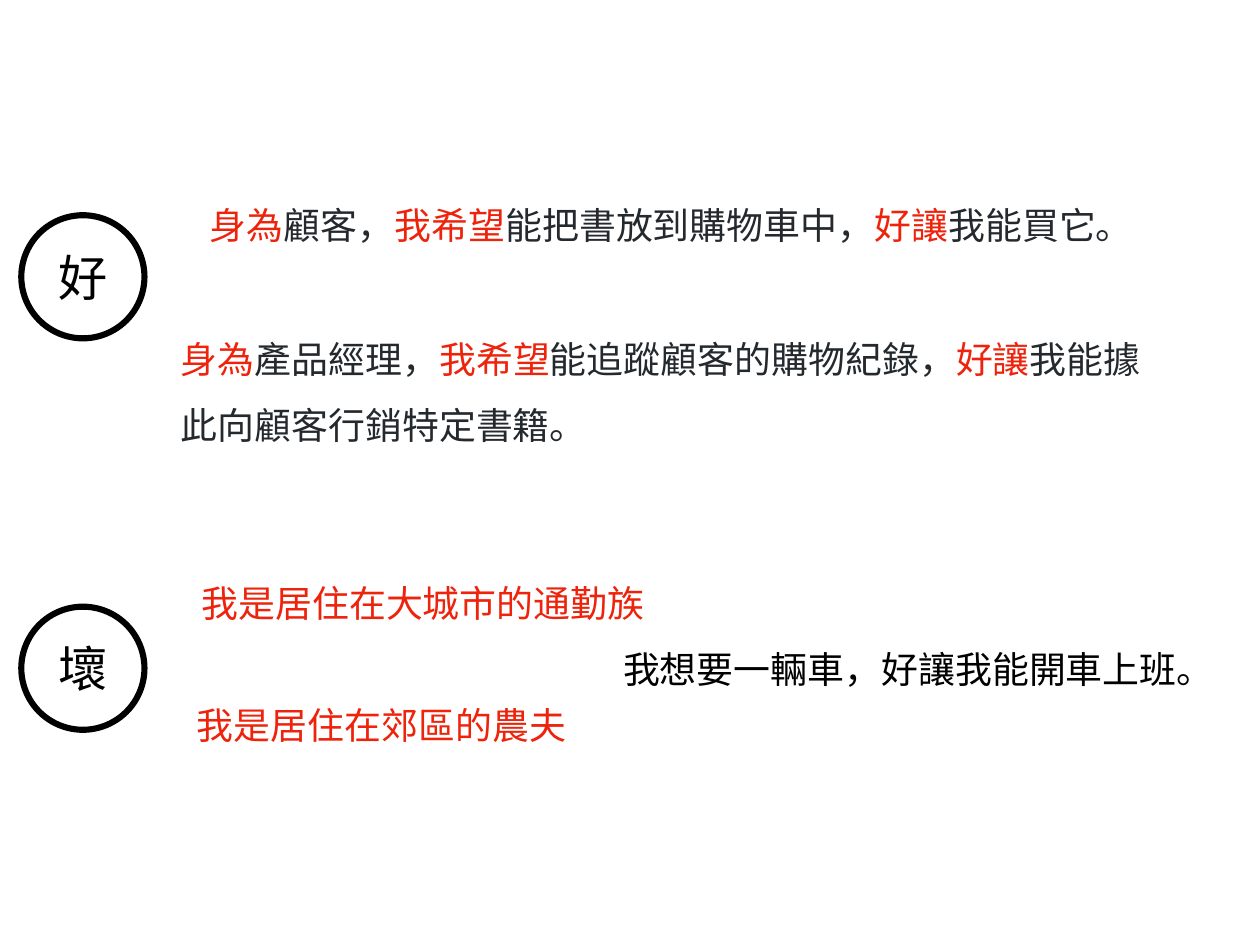
import pptx
import pptx.dml.color
import pptx.enum.shapes
import pptx.enum.text
import pptx.util
from dataclasses import dataclass
from itertools import cycle

Inches = pptx.util.Inches
Pt = pptx.util.Pt
Align = pptx.enum.text.PP_ALIGN


@dataclass(frozen=True)
class Theme:
    font: str = "Arial"
    black: str = "000000"
    white: str = "FFFFFF"
    red: str = "EE230C"
    slate: str = "24292E"
    verdict_size: int = 40
    story_size: int = 30
    story_leading: int = 54
    ring_width: int = 5
    inset: float = 0.06


class StorySlide:
    def __init__(self, deck, theme):
        self.theme = theme
        self.slide = deck.slides.add_slide(deck.slide_layouts[6])

    def apply(self, target, values):
        for name, value in values.items():
            setattr(target, name, value)

    def fill_text(self, holder, pieces, size, align, leading=None, **frame_format):
        frame = holder.text_frame
        sides = ("left", "top", "right", "bottom")
        self.apply(frame, {f"margin_{side}": Inches(self.theme.inset) for side in sides})
        self.apply(frame, {"vertical_anchor": pptx.enum.text.MSO_ANCHOR.MIDDLE, **frame_format})
        paragraph = frame.paragraphs[0]
        self.apply(paragraph, {"alignment": align, "line_spacing": leading})
        for words, color in pieces:
            run = paragraph.add_run()
            run.text = words
            self.apply(run.font, {"name": self.theme.font, "size": Pt(size)})
            run.font.color.rgb = pptx.dml.color.RGBColor.from_string(color)

    def verdict(self, word, left, top, diameter):
        theme = self.theme
        ring = self.slide.shapes.add_shape(
            pptx.enum.shapes.MSO_SHAPE.OVAL,
            *map(Inches, (left, top, diameter, diameter)))
        ring.shadow.inherit = False
        ring.fill.solid()
        ring.fill.fore_color.rgb = pptx.dml.color.RGBColor.from_string(theme.white)
        ring.line.color.rgb = pptx.dml.color.RGBColor.from_string(theme.black)
        ring.line.width = Pt(theme.ring_width)
        self.fill_text(ring, [(word, theme.black)], theme.verdict_size, Align.CENTER)

    def text(self, pieces, box, align=Align.CENTER, wrap=False, leading=None):
        holder = self.slide.shapes.add_textbox(*map(Inches, box))
        self.fill_text(holder, pieces, self.theme.story_size, align, leading,
                       word_wrap=wrap,
                       auto_size=pptx.enum.text.MSO_AUTO_SIZE.SHAPE_TO_FIT_TEXT)

    def user_story(self, phrases, box, wrap=False):
        colors = cycle((self.theme.red, self.theme.slate))
        self.text(zip(phrases, colors), box, Align.LEFT, wrap,
                  Pt(self.theme.story_leading))


def main():
    deck = pptx.Presentation()
    deck.slide_width, deck.slide_height = Inches(14.22), Inches(10.67)
    theme = Theme()
    page = StorySlide(deck, theme)

    for word, top in (("好", 2.43), ("壞", 6.85)):
        page.verdict(word, 0.24, top, 1.39)

    page.user_story(
        ("身為", "顧客，", "我希望", "能把書放到購物車中，", "好讓", "我能買它。"),
        (2.31, 2.07, 10.54, 0.69))
    page.user_story(
        ("身為", "產品經理，", "我希望", "能追蹤顧客的購物紀錄，", "好讓",
         "我能據此向顧客行銷特定書籍。"),
        (1.98, 3.66, 11.21, 1.28), wrap=True)

    for sentence, color, box in (
        ("我想要一輛車，好讓我能開車上班。", theme.black, (6.97, 7.2, 6.79, 0.69)),
        ("我是居住在大城市的通勤族", theme.red, (2.21, 6.46, 5.13, 0.69)),
        ("我是居住在郊區的農夫", theme.red, (2.16, 7.84, 4.29, 0.69)),
    ):
        page.text([(sentence, color)], box)

    deck.save("out.pptx")


if __name__ == "__main__":
    main()
